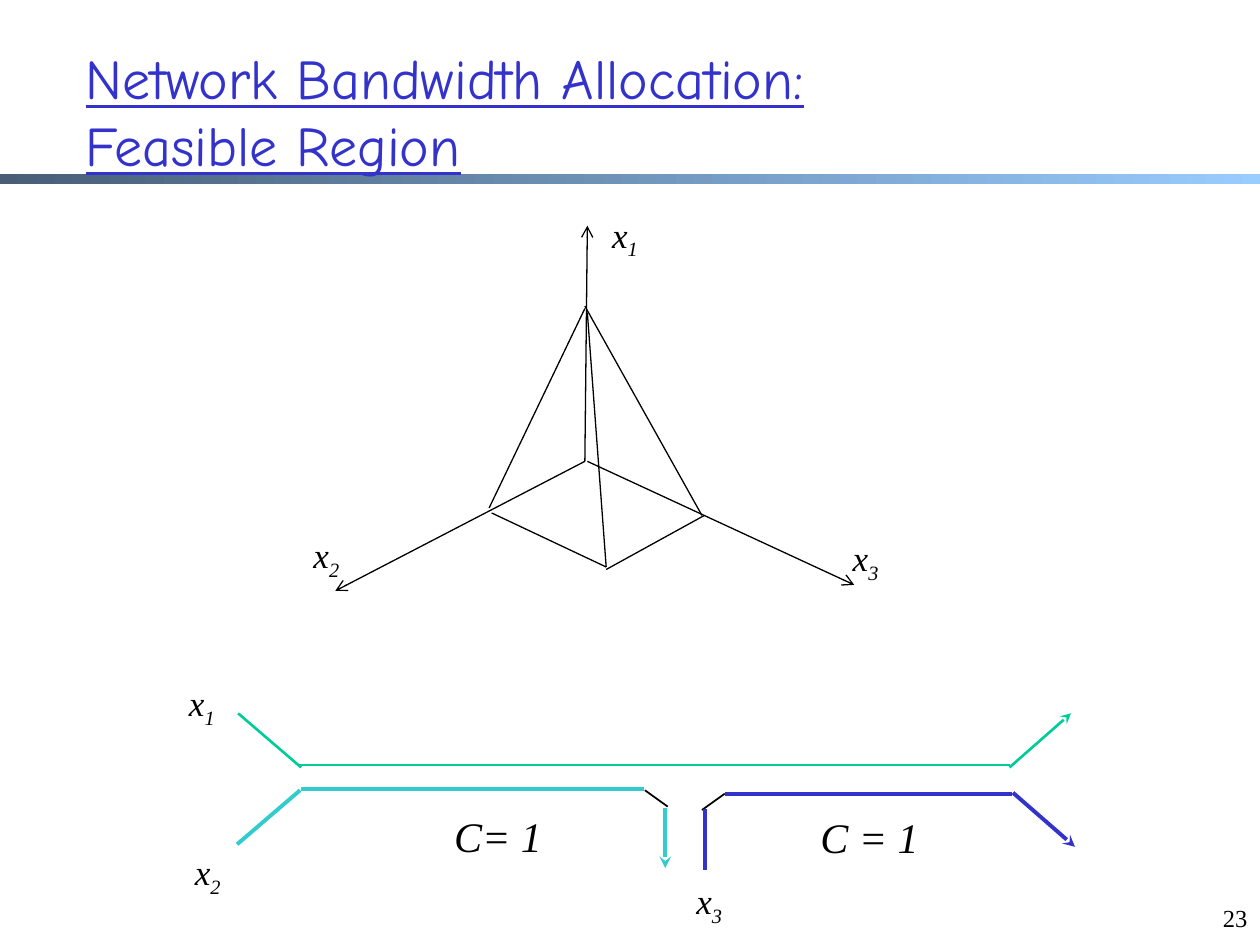
"""Build the slide on the feasible region of network bandwidth allocation."""
from dataclasses import dataclass

from lxml.etree import SubElement
from pptx import Presentation
from pptx.dml.color import RGBColor
from pptx.enum.shapes import MSO_CONNECTOR, MSO_SHAPE
from pptx.enum.text import MSO_ANCHOR, MSO_AUTO_SIZE, PP_ALIGN
from pptx.oxml.ns import qn
from pptx.util import Cm, Pt

COLORS = {
    "black": "000000", "title": "3333CC", "bar_start": "475E76", "bar_end": "99CCFF",
    "flow1": "00CC99", "flow2": "33CCCC", "flow3": "3333CC",
}
SERIF = "Times New Roman"
VARIABLE = {"name": SERIF, "size": Pt(20), "italic": True}
CAPACITY = {"name": SERIF, "size": Pt(24), "italic": True}
NUMBER = {"name": SERIF, "size": Pt(14)}
HEADING = {"name": "Comic Neue", "size": Pt(32), "underline": True, "bold": False}


@dataclass
class Segment:
    start: tuple[float, float]
    end: tuple[float, float]
    color: str = "black"
    width: float = 0.75
    arrow: str = ""


@dataclass
class Label:
    left: float
    top: float
    text: str
    subscript: str = ""
    width: float = 1.04
    height: float = 1.09
    align: PP_ALIGN = PP_ALIGN.LEFT


def rgb(name: str) -> RGBColor:
    return RGBColor.from_string(COLORS[name])


def format_font(font, values: dict, color: str = "black") -> None:
    for attribute, value in values.items():
        setattr(font, attribute, value)
    font.color.rgb = rgb(color)


def draw_segment(shapes, segment: Segment) -> None:
    ends = [Cm(value) for value in segment.start + segment.end]
    connector = shapes.add_connector(MSO_CONNECTOR.STRAIGHT, *ends)
    connector.line.color.rgb = rgb(segment.color)
    connector.line.width = Pt(segment.width)
    if segment.arrow:
        SubElement(connector.line._get_or_add_ln(), qn("a:tailEnd"), type=segment.arrow)
    SubElement(connector._element.spPr, qn("a:effectLst"))


def draw_label(shapes, label: Label, values: dict) -> None:
    bounds = (label.left, label.top, label.width, label.height)
    frame = shapes.add_textbox(*map(Cm, bounds)).text_frame
    frame.word_wrap = False
    frame.auto_size = MSO_AUTO_SIZE.SHAPE_TO_FIT_TEXT
    paragraph = frame.paragraphs[0]
    paragraph.alignment = label.align
    for text, baseline in ((label.text, "0"), (label.subscript, "-25000")):
        if text:
            run = paragraph.add_run()
            run.text = text
            format_font(run.font, values)
            run._r.get_or_add_rPr().set("baseline", baseline)


FLOWS = [
    Segment((13, 15.93), (13.46, 16.26), width=1),
    Segment((14.61, 16), (14.15, 16.33), width=1),
    Segment((4.8, 14.38), (6.07, 15.47), "flow1", 1.5),
    Segment((6.02, 15.42), (20.37, 15.42), "flow1", 1.5),
    Segment((20.35, 15.47), (21.59, 14.38), "flow1", 1.5, "stealth"),
    Segment((6.07, 15.9), (12.98, 15.9), "flow2", 2.25),
    Segment((6.05, 15.93), (4.78, 17.02), "flow2", 2.25),
    Segment((13.41, 16.28), (13.41, 17.5), "flow2", 2.25, "stealth"),
    Segment((14.22, 16.31), (14.22, 17.53), "flow3", 2.25),
    Segment((14.61, 16), (20.4, 16), "flow3", 2.25),
    Segment((20.42, 15.98), (21.67, 17.07), "flow3", 2.25, "stealth"),
]
FLOW_LABELS = [
    Label(3.56, 13.61, "x", "1"),
    Label(3.68, 17.02, "x", "2"),
    Label(13.79, 17.6, "x", "3"),
]
CAPACITIES = [
    Label(8.64, 16.21, "C= 1", width=2.8, height=1.3, align=PP_ALIGN.CENTER),
    Label(16.13, 16.23, "C = 1", width=2.8, height=1.3, align=PP_ALIGN.CENTER),
]
REGION = [
    Segment((11.79, 9.3), (11.84, 4.55), arrow="arrow"),
    Segment((11.79, 9.3), (6.76, 11.91), arrow="arrow"),
    Segment((11.84, 9.3), (17.22, 11.79), arrow="arrow"),
    Segment((11.79, 6.22), (9.86, 10.24)),
    Segment((11.79, 6.17), (14.15, 10.39)),
    Segment((9.91, 10.34), (12.22, 11.43)),
    Segment((14.2, 10.39), (12.22, 11.48)),
    Segment((11.84, 6.3), (12.22, 11.43)),
]
AXIS_LABELS = [
    Label(12.09, 4.17, "x", "1"),
    Label(16.94, 10.69, "x", "3"),
    Label(6.07, 10.64, "x", "2"),
]

deck = Presentation()
deck.slide_width, deck.slide_height = Cm(25.4), Cm(19.05)
slide = deck.slides.add_slide(deck.slide_layouts[5])

bar = slide.shapes.add_shape(MSO_SHAPE.RECTANGLE, Cm(0), Cm(3.51), Cm(25.4), Cm(0.2))
bar.shadow.inherit = False
bar.line.fill.background()
bar.fill.gradient()
bar.fill.gradient_angle = 0
for stop, shade in zip(bar.fill.gradient_stops, ("bar_start", "bar_end")):
    stop.color.rgb = rgb(shade)
slide.shapes._spTree.insert(2, bar._element)

title = slide.shapes.title
title.left, title.top, title.width, title.height = map(Cm, (1.47, 0.64, 21.59, 3.18))
title.text_frame.text = "Network Bandwidth Allocation:\vFeasible Region"
title.text_frame.auto_size = MSO_AUTO_SIZE.NONE
title.text_frame.vertical_anchor = MSO_ANCHOR.MIDDLE
title.text_frame.paragraphs[0].alignment = PP_ALIGN.LEFT
for line in title.text_frame.paragraphs[0].runs:
    format_font(line.font, HEADING, "title")

page_number = Label(24.13, 18.08, "23", width=1.27, height=1.27, align=PP_ALIGN.RIGHT)
draw_label(slide.shapes, page_number, NUMBER)

for flow in FLOWS:
    draw_segment(slide.shapes, flow)
for flow_label in FLOW_LABELS:
    draw_label(slide.shapes, flow_label, VARIABLE)
for capacity in CAPACITIES:
    draw_label(slide.shapes, capacity, CAPACITY)

region = slide.shapes.add_group_shape()
for edge in REGION:
    draw_segment(region.shapes, edge)
for axis_label in AXIS_LABELS:
    draw_label(region.shapes, axis_label, VARIABLE)

deck.save("out.pptx")
